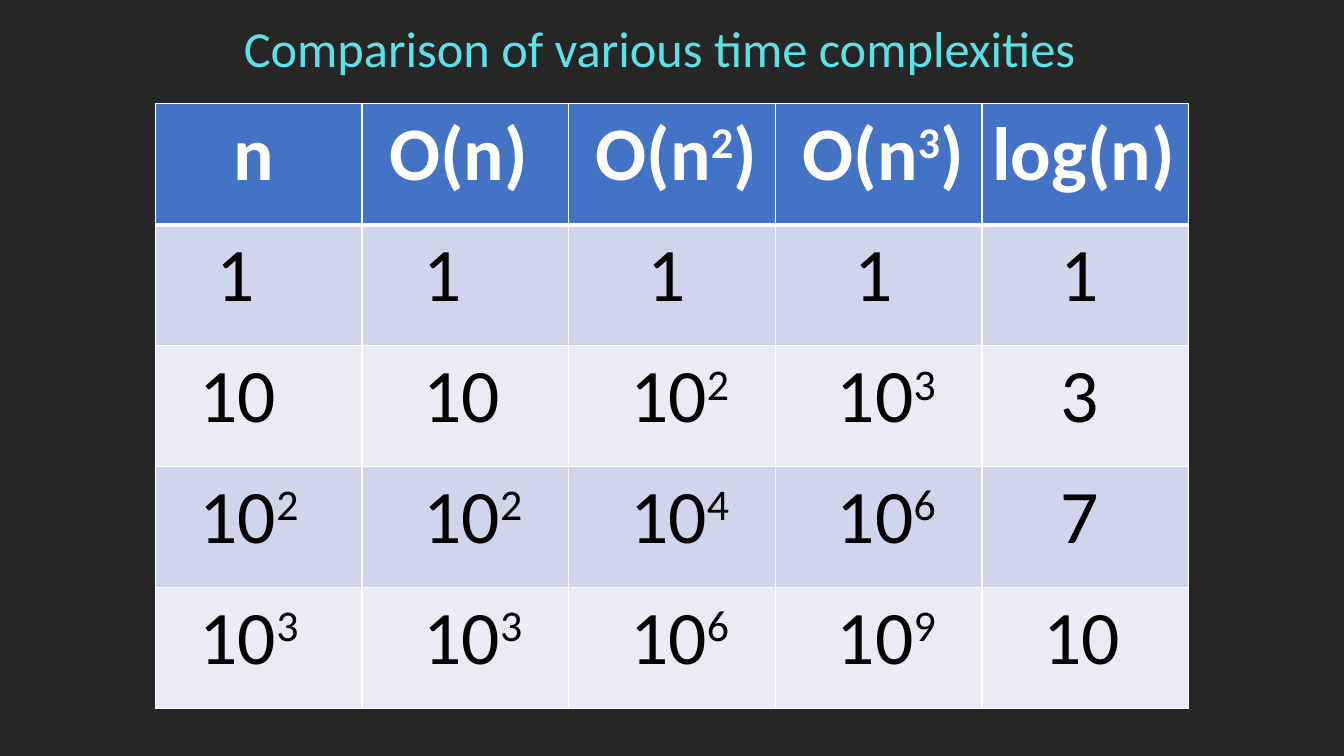
from lxml.etree import SubElement
from pptx import Presentation
from pptx.dml.color import RGBColor
from pptx.enum.text import MSO_AUTO_SIZE
from pptx.oxml.ns import qn
from pptx.util import Inches, Pt

COLORS = {
    "background": "262626",
    "title": "5DE1E6",
    "header": "4472C4",
    "odd": "CFD5EA",
    "even": "E9EBF5",
    "white": "FFFFFF",
    "black": "000000",
}
FONT = "Calibri"
SPACE_WIDTH = 0.17
ROWS = [
    ["n", "O(n)", "O(n^2)", "O(n^3)", "log(n)"],
    ["1", "1", "1", "1", "1"],
    ["10", "10", "10^2", "10^3", "3"],
    ["10^2", "10^2", "10^4", "10^6", "7"],
    ["10^3", "10^3", "10^6", "10^9", "10"],
]
INDENTS = [
    [4, 1, 1, 1, 0],
    [3, 3, 4, 4, 4],
    [2, 3, 3, 3, 4],
    [2, 3, 3, 3, 4],
    [2, 3, 3, 3, 3],
]


def color(name):
    return RGBColor.from_string(COLORS[name])


def style_run(r, size, name, bold=False):
    r.font.name = FONT
    r.font.size = Pt(size)
    r.font.bold = bold
    r.font.color.rgb = color(name)


def add_title(s, left, top, width, height):
    box = s.shapes.add_textbox(Inches(left), Inches(top), Inches(width), Inches(height))
    tf = box.text_frame
    tf.word_wrap = True
    tf.auto_size = MSO_AUTO_SIZE.SHAPE_TO_FIT_TEXT
    tf.text = "Comparison of various time complexities"
    style_run(tf.paragraphs[0].runs[0], 36, "title")


def write_power(p, text, name, bold):
    base, _, rest = text.partition("^")
    for part, raised in ((base, False), (rest[:1], True), (rest[1:], False)):
        if part:
            r = p.add_run()
            r.text = part
            style_run(r, 54, name, bold)
            if raised:
                r._r.get_or_add_rPr().set("baseline", "30000")


def set_borders(cell, top, bottom):
    tc_pr = cell._tc.get_or_add_tcPr()
    for side, width in (("L", 1), ("R", 1), ("T", top), ("B", bottom)):
        ln = SubElement(tc_pr, qn(f"a:ln{side}"), w=str(Pt(width)))
        fill = SubElement(ln, qn("a:solidFill"))
        SubElement(fill, qn("a:srgbClr"), val=COLORS["white"])


def add_complexity_table(s, left, top, width, height):
    frame = s.shapes.add_table(
        len(ROWS), len(ROWS[0]), Inches(left), Inches(top), Inches(width), Inches(height)
    )
    table = frame.table
    for i, row in enumerate(ROWS):
        header = i == 0
        fill = "header" if header else "odd" if i % 2 else "even"
        for j, text in enumerate(row):
            cell = table.cell(i, j)
            cell.margin_left = Inches(0.1 + SPACE_WIDTH * INDENTS[i][j])
            set_borders(cell, 3 if i == 1 else 1, 3 if header else 1)
            cell.fill.solid()
            cell.fill.fore_color.rgb = color(fill)
            p = cell.text_frame.paragraphs[0]
            write_power(p, text, "white" if header else "black", header)


def main():
    prs = Presentation()
    prs.slide_width, prs.slide_height = Inches(13.33), Inches(7.5)
    s = prs.slides.add_slide(prs.slide_layouts[6])
    s.background.fill.solid()
    s.background.fill.fore_color.rgb = color("background")
    add_title(s, 2.32, 0.12, 8.7, 0.71)
    add_complexity_table(s, 1.54, 1.03, 10.25, 6)
    prs.save("out.pptx")


if __name__ == "__main__":
    main()
